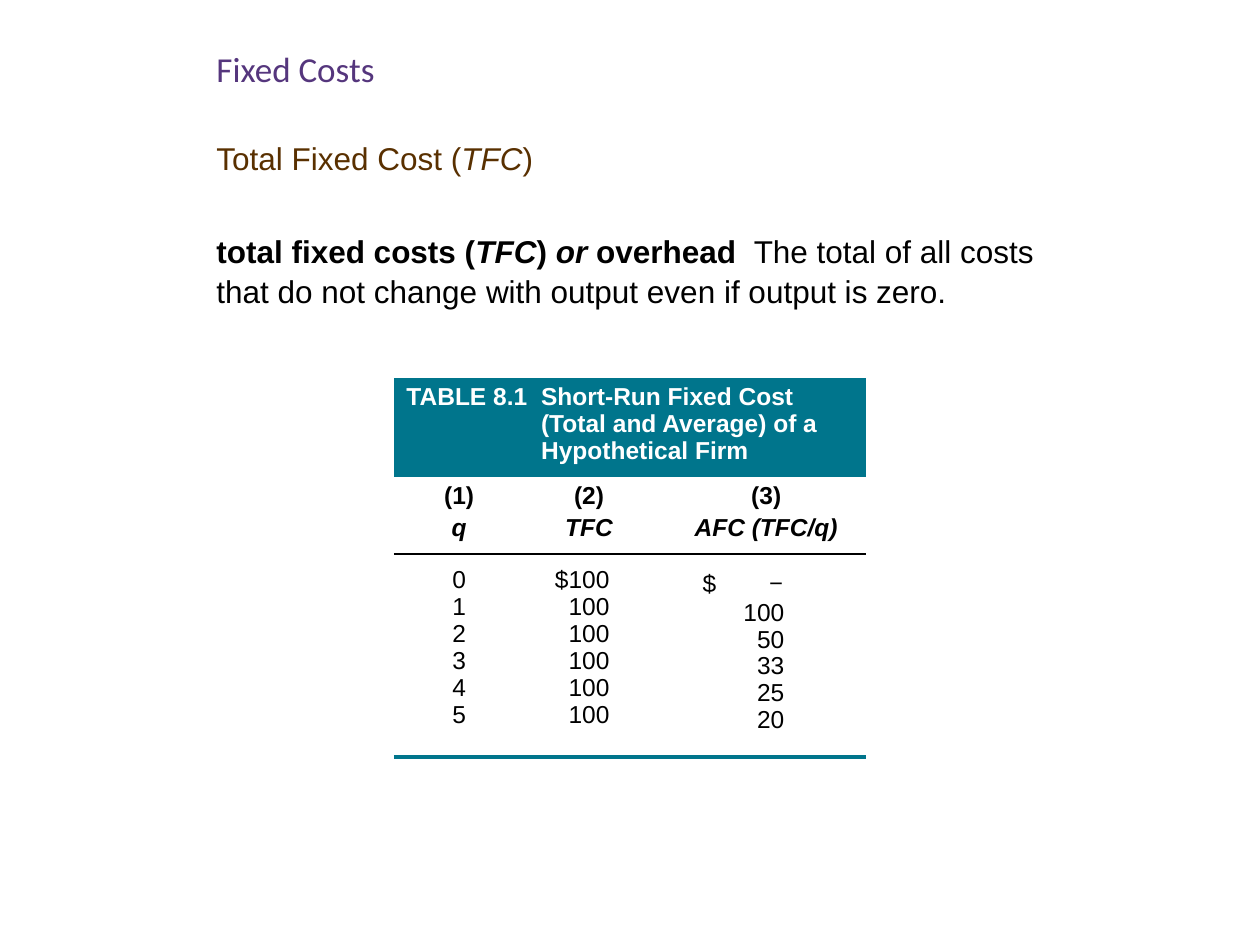
from copy import deepcopy
from dataclasses import dataclass

from lxml.etree import SubElement
from pptx import Presentation
from pptx.dml.color import RGBColor
from pptx.enum.text import PP_ALIGN as Align
from pptx.oxml.ns import qn
from pptx.util import Pt

TEAL, BLACK, WHITE = "00758C", "000000", "FFFFFF"
TABLE_SPACING = 0.98


@dataclass
class Span:
    text: str
    bold: bool = False
    italic: bool = False
    font: str = "Arial"


@dataclass
class TextBlock:
    top: float
    width: float
    height: float
    size: float
    color: str
    spans: list[Span]
    hanging: float = 0
    spacing: float = 1


@dataclass
class Column:
    width: float
    number: str
    symbol: str
    align: Align
    left: float
    right: float
    values: str


def rgb(value: str) -> RGBColor:
    return RGBColor.from_string(value)


def add_text(para, text: str, *, size: float, color: str, font: str = "Arial",
             bold: bool = False, italic: bool = False) -> None:
    """Add formatted text, with a line break at each newline."""
    properties = None
    for line in text.split("\n"):
        if properties is not None:
            para._p.add_br().insert(0, deepcopy(properties))
        span = para.add_run()
        span.text = line
        span.font.name, span.font.size = font, Pt(size)
        span.font.bold, span.font.italic = bold, italic
        span.font.color.rgb = rgb(color)
        properties = span._r.get_or_add_rPr()


def set_hanging(para, amount: float) -> None:
    properties = para._p.get_or_add_pPr()
    properties.set("marL", str(Pt(amount)))
    properties.set("indent", str(-Pt(amount)))


def add_right_tab(para, position: float) -> None:
    tabs = SubElement(para._p.get_or_add_pPr(), qn("a:tabLst"))
    SubElement(tabs, qn("a:tab"), pos=str(Pt(position)), algn="r")


def add_block(page, block: TextBlock) -> None:
    box = page.shapes.add_textbox(Pt(116.6), Pt(block.top), Pt(block.width), Pt(block.height))
    box.text_frame.word_wrap = True
    para = box.text_frame.paragraphs[0]
    para.line_spacing = block.spacing
    if block.hanging:
        set_hanging(para, block.hanging)
    for span in block.spans:
        add_text(para, span.text, size=block.size, color=block.color,
                 font=span.font, bold=span.bold, italic=span.italic)


def style_cell(cell, *, margins: tuple, fill: str = "",
               top: tuple = (), bottom: tuple = ()) -> None:
    """Set margins (left, top, right, bottom), borders (colour, width) and fill."""
    cell.margin_left, cell.margin_top, cell.margin_right, cell.margin_bottom = map(Pt, margins)
    properties = cell._tc.get_or_add_tcPr()
    for tag, border in (("lnL", ()), ("lnR", ()), ("lnT", top), ("lnB", bottom)):
        line = SubElement(properties, qn(f"a:{tag}"))
        if border:
            color, width = border
            line.set("w", str(Pt(width)))
            solid = SubElement(line, qn("a:solidFill"))
            SubElement(solid, qn("a:srgbClr"), val=color)
        else:
            SubElement(line, qn("a:noFill"))
    if fill:
        cell.fill.solid()
        cell.fill.fore_color.rgb = rgb(fill)
    else:
        cell.fill.background()


def start_para(para, align: Align):
    para.alignment = align
    para.line_spacing = TABLE_SPACING
    return para


def add_cost_table(page, title: str, columns: list[Column]) -> None:
    heights = (44, 44, 116)
    frame = page.shapes.add_table(3, len(columns), Pt(225), Pt(216),
                                  Pt(sum(column.width for column in columns)), Pt(sum(heights)))
    table = frame.table
    table.first_row = table.horz_banding = False
    for row, height in zip(table.rows, heights):
        row.height = Pt(height)

    # Title band across all columns
    band = table.cell(0, 0)
    band.merge(table.cell(0, len(columns) - 1))
    style_cell(band, margins=(7.2, 3.6, 7.2, 3.6), fill=TEAL)
    para = start_para(band.text_frame.paragraphs[0], Align.LEFT)
    set_hanging(para, 77)
    add_text(para, title, size=14, color=WHITE, bold=True)

    rule = (BLACK, 1)
    for index, column in enumerate(columns):
        table.columns[index].width = Pt(column.width)

        # Column heading
        head = table.cell(1, index)
        style_cell(head, margins=(7.2, 3.6, 0, 3.6), bottom=rule)
        para = start_para(head.text_frame.paragraphs[0], Align.CENTER)
        add_text(para, column.number, size=14, color=BLACK, bold=True)
        para = start_para(head.text_frame.add_paragraph(), Align.CENTER)
        para.space_before = Pt(2.8)
        add_text(para, column.symbol, size=14, color=BLACK, bold=True, italic=True)

        # Column values
        body = table.cell(2, index)
        style_cell(body, margins=(column.left, 7.2, column.right, 0),
                   top=rule, bottom=(TEAL, 2.25))
        para = body.text_frame.paragraphs[0]
        if column.symbol.startswith("AFC"):
            # Undefined average at zero output: dollar sign left, dash right
            start_para(para, Align.LEFT)
            add_right_tab(para, 46)
            add_text(para, "$\t", size=14, color=BLACK)
            add_text(para, "−", size=14, color=BLACK, font="Open Sans")
            para = body.text_frame.add_paragraph()
        start_para(para, column.align)
        add_text(para, column.values, size=14, color=BLACK)


def main() -> None:
    deck = Presentation()
    deck.slide_width, deck.slide_height = Pt(720), Pt(540)
    page = deck.slides.add_slide(deck.slide_layouts[6])

    # Headings and definition
    blocks = [
        TextBlock(23.8, 378, 30.2, 20, "55367D", [Span("Fixed Costs", font="Calibri")], hanging=36),
        TextBlock(75.6, 378, 30.2, 18, "593000",
                  [Span("Total Fixed Cost ("), Span("TFC", italic=True), Span(")")], hanging=36),
        TextBlock(128.2, 486, 77.8, 18, BLACK, [
            Span("total fixed costs (", bold=True), Span("TFC", bold=True, italic=True),
            Span(") ", bold=True), Span("or", bold=True, italic=True),
            Span(" overhead  ", bold=True),
            Span("The total of all costs that do not change with output even if output is zero."),
        ], spacing=1.05),
    ]
    for block in blocks:
        add_block(page, block)

    # Cost table
    add_cost_table(
        page, "TABLE 8.1\tShort-Run Fixed Cost (Total and Average) of a Hypothetical Firm", [
            Column(67.5, "(1)", "q", Align.CENTER, 7.2, 0, "0\n1\n2\n3\n4\n5"),
            Column(81, "(2)", "TFC", Align.RIGHT, 7.2, 25.2, "$100\n100\n100\n100\n100\n100"),
            Column(121.5, "(3)", "AFC (TFC/q)", Align.RIGHT, 28, 46.8, "100\n50\n33\n25\n20"),
        ])

    deck.save("out.pptx")


if __name__ == "__main__":
    main()
